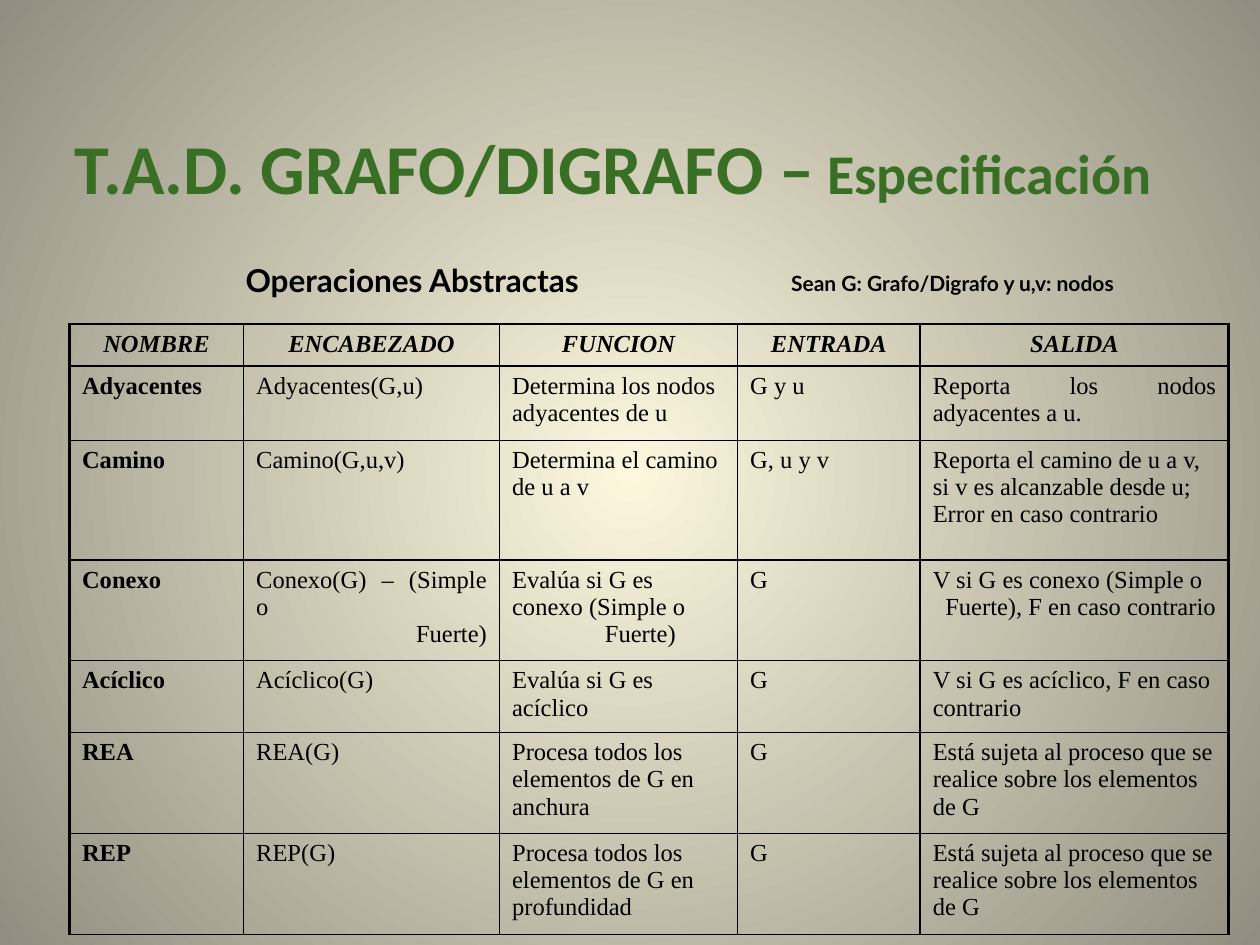
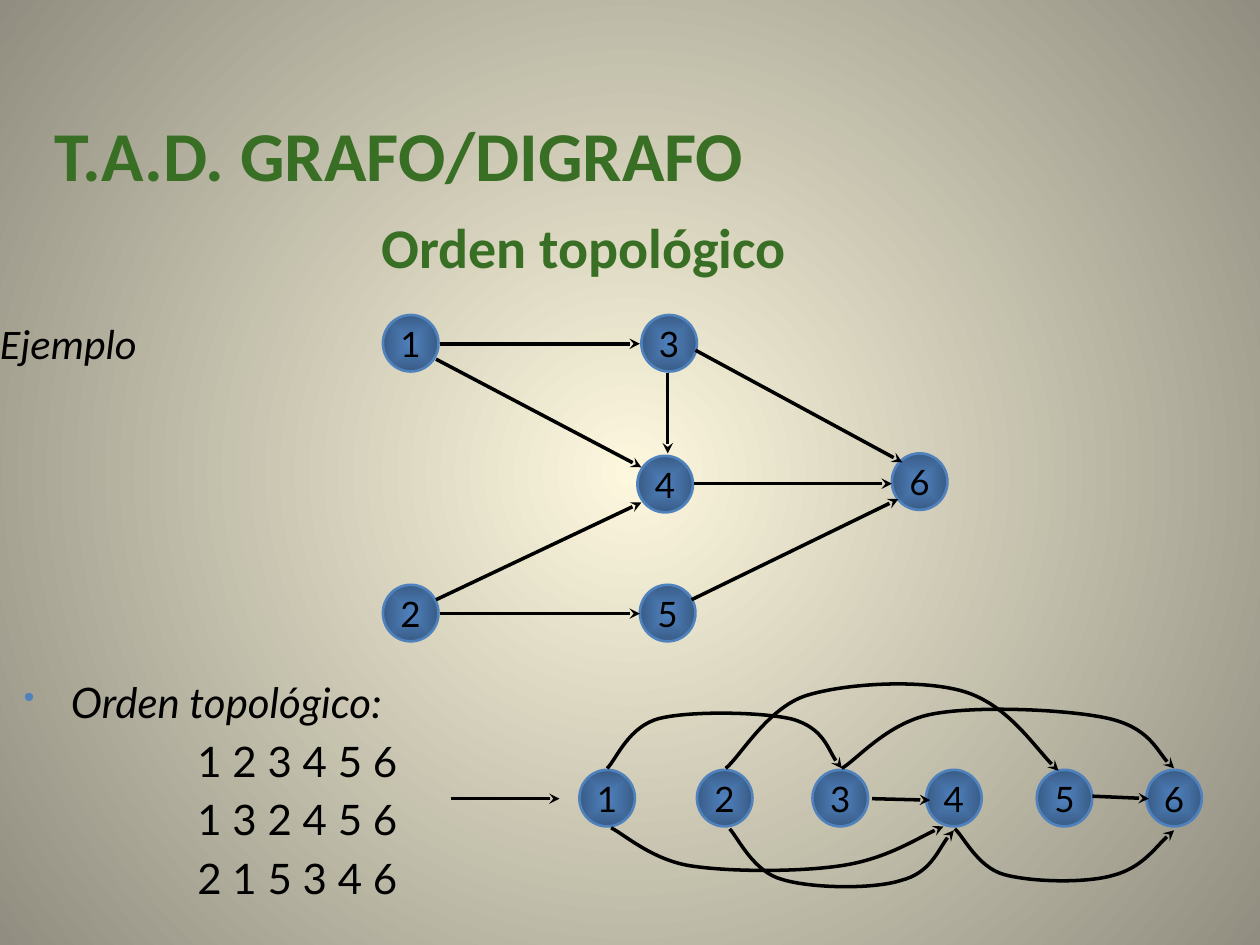
"""Build two slides on the graph abstract data type: its operations and its topological order."""
import pptx
import pptx.dml.color
import pptx.enum.dml
import pptx.enum.shapes
import pptx.enum.text
import pptx.oxml
import pptx.oxml.ns
import pptx.util
from lxml import etree

Cm = pptx.util.Cm
Pt = pptx.util.Pt
RGBColor = pptx.dml.color.RGBColor
qn = pptx.oxml.ns.qn
ALIGN = pptx.enum.text.PP_ALIGN

GREEN = RGBColor(0x38, 0x6F, 0x24)
BLACK = RGBColor(0, 0, 0)
BLUE = RGBColor(0x4F, 0x81, 0xBD)
DARK_BLUE = RGBColor(0x39, 0x5C, 0x87)
CREAM = RGBColor(0xFC, 0xF7, 0xDD)
STONE = RGBColor(0x91, 0x8E, 0x81)
HEADING = dict(font="Calibri", color=GREEN, bold=True)


def write(frame, text, size=14, font="Lato", color=BLACK, bold=False, italic=False,
          align=ALIGN.LEFT, indent=0, hanging=0, before=0, bullet=False, same_line=False):
    """Add text to a frame as a new paragraph, or as a run of the last one."""
    paragraph = frame.paragraphs[-1]
    if paragraph.runs and not same_line:
        paragraph = frame.add_paragraph()
    if not same_line:
        props = paragraph._p.get_or_add_pPr()
        props.set("marL", str(Cm(indent)))
        props.set("indent", str(-Cm(hanging)))
        if bullet:
            color_mark = etree.SubElement(props, qn("a:buClr"))
            etree.SubElement(color_mark, qn("a:srgbClr"), val=str(BLUE))
            etree.SubElement(props, qn("a:buSzPct"), val="75000")
            etree.SubElement(props, qn("a:buChar"), char="•")
        paragraph.alignment = align
        if before:
            paragraph.space_before = Pt(before)
    run = paragraph.add_run()
    run.text = text
    run.font.size = Pt(size)
    run.font.name = font
    run.font.bold = bold
    run.font.italic = italic
    run.font.color.rgb = color


def radiate(fill, owner, inner, outer, shape):
    """Fill with a gradient that spreads from the centre."""
    fill.gradient()
    for stop, color in zip(fill.gradient_stops, (inner, outer)):
        stop.color.rgb = color
    gradient = owner.find(".//" + qn("a:gradFill"))
    gradient.remove(gradient.find(qn("a:lin")))
    spread = etree.SubElement(gradient, qn("a:path"), path=shape)
    etree.SubElement(spread, qn("a:fillToRect"), l="50000", t="50000", r="50000", b="50000")


deck = pptx.Presentation()
deck.slide_width = Cm(25.4)
deck.slide_height = Cm(19.05)
radiate(deck.slide_master.background.fill, deck.slide_master._element, CREAM, STONE, "circle")
operations = deck.slides.add_slide(deck.slide_layouts[6])
topology = deck.slides.add_slide(deck.slide_layouts[6])

headings = [
    (operations, (0.89, 2.51, 22.94, 1.83), False,
     [("T.A.D. GRAFO/DIGRAFO –", dict(HEADING, size=40, align=ALIGN.CENTER)),
      (" Especificación", dict(HEADING, size=32, same_line=True))]),
    (operations, (4.7, 5.13, 8.41, 1.02), True,
     [("Operaciones Abstractas", dict(size=18, bold=True))]),
    (operations, (15.7, 5.33, 8.59, 0.76), True,
     [("Sean G: Grafo/Digrafo y u,v: nodos", dict(size=12, bold=True))]),
    (topology, (1.09, 2.24, 22.94, 1.7), False,
     [("T.A.D. GRAFO/DIGRAFO", dict(HEADING, size=40))]),
    (topology, (0.3, 4.29, 22.94, 1.85), False,
     [("Orden topológico", dict(HEADING, size=32, align=ALIGN.CENTER))]),
    (topology, (0, 6.4, 22.02, 1.68), False,
     [("Ejemplo", dict(size=24, font="Calibri", italic=True))]),
    (topology, (0.23, 13.51, 8.48, 4.47), True,
     [("Orden topológico:", dict(size=24, italic=True, indent=0.95, hanging=0.95, bullet=True))]
     + [(order, dict(size=24, indent=3.5, before=4.8))
        for order in ("1 2 3 4 5 6", "1 3 2 4 5 6", "2 1 5 3 4 6")]),
]
for slide, place, padded, texts in headings:
    frame = slide.shapes.add_textbox(*map(Cm, place)).text_frame
    frame.word_wrap = True
    if not padded:
        frame.margin_left = frame.margin_top = frame.margin_right = frame.margin_bottom = 0
    for text, style in texts:
        write(frame, text, **style)

SUBJECT = "Está sujeta al proceso que se realice sobre los elementos de G"
entries = [
    ["NOMBRE", "ENCABEZADO", "FUNCION", "ENTRADA", "SALIDA"],
    ["Adyacentes", "Adyacentes(G,u)", "Determina los nodos adyacentes de u", "G y u",
     "Reporta los nodos adyacentes a u."],
    ["Camino", "Camino(G,u,v)", "Determina el camino de u a v", "G, u y v",
     "Reporta el camino de u a v, si v es alcanzable desde u; Error en caso contrario"],
    ["Conexo", "Conexo(G) – (Simple o", "Evalúa si G es conexo (Simple o", "G",
     "V si G es conexo (Simple o"],
    ["Acíclico", "Acíclico(G)", "Evalúa si G es acíclico", "G",
     "V si G es acíclico, F en caso contrario"],
    ["REA", "REA(G)", "Procesa todos los elementos de G en anchura", "G", SUBJECT],
    ["REP", "REP(G)", "Procesa todos los elementos de G en profundidad", "G", SUBJECT],
]
second_lines = {
    (3, 1): ("Fuerte)", dict(align=ALIGN.RIGHT)),
    (3, 2): ("Fuerte)", dict(indent=1.87)),
    (3, 4): ("Fuerte), F en caso contrario", dict(align=ALIGN.RIGHT)),
}
widths = [3.51, 5.16, 4.8, 3.68, 6.22]
heights = [0.84, 1.5, 2.41, 2.03, 1.45, 2.03, 2.03]
last_row, last_col = len(heights) - 1, len(widths) - 1
grid = operations.shapes.add_table(len(heights), len(widths), Cm(1.4), Cm(6.53),
                                   Cm(sum(widths)), Cm(sum(heights))).table
grid.first_row = grid.horz_banding = False
for column, width in zip(grid.columns, widths):
    column.width = Cm(width)
for row, height in zip(grid.rows, heights):
    row.height = Cm(height)
for r, entry in enumerate(entries):
    for c, text in enumerate(entry):
        cell = grid.cell(r, c)
        cell.fill.background()
        if r == 0:
            align = ALIGN.CENTER
        elif c in (0, 1, 3) or (r, c) == (1, 4):
            align = ALIGN.JUSTIFY
        else:
            align = ALIGN.LEFT
        write(cell.text_frame, text, font="Times New Roman", bold=r == 0 or c == 0,
              italic=r == 0, align=align)
        if (r, c) in second_lines:
            ending, style = second_lines[r, c]
            write(cell.text_frame, ending, font="Times New Roman", **style)
        borders = {"a:lnL": 2 if c == 0 else 1, "a:lnR": 2 if c == last_col else 1,
                   "a:lnT": 1 if r <= 1 else 0.75,
                   "a:lnB": 1 if r in (0, last_row) else 0.75}
        for position, (side, weight) in enumerate(borders.items()):
            border = etree.Element(qn(side), w=str(Pt(weight)))
            ink = etree.SubElement(border, qn("a:solidFill"))
            etree.SubElement(ink, qn("a:srgbClr"), val=str(BLACK))
            cell._tc.get_or_add_tcPr().insert(position, border)

nodes = [("1", 7.72, 6.35), ("5", 12.9, 11.79), ("3", 12.93, 6.35),
         ("4", 12.85, 9.19), ("2", 7.72, 11.79), ("6", 17.98, 9.14)]
nodes += [(str(number), left, 15.52)
          for number, left in enumerate((11.68, 14.05, 16.38, 18.67, 20.9, 23.11), 1)]
for label, left, top in nodes:
    node = topology.shapes.add_shape(pptx.enum.shapes.MSO_SHAPE.OVAL,
                                     Cm(left), Cm(top), Cm(1.12), Cm(1.14))
    node.shadow.inherit = False
    radiate(node.fill, node._element, BLUE, DARK_BLUE, "shape")
    node.line.color.rgb = BLUE
    node.line.width = Pt(1.5)
    node.text_frame.word_wrap = False
    node.text_frame.vertical_anchor = pptx.enum.text.MSO_ANCHOR.MIDDLE
    write(node.text_frame, label, size=20, align=ALIGN.CENTER)

straight_edges = [
    (8.86, 6.93, 12.9, 6.93), (14.02, 7.06, 18.19, 9.32), (8.86, 12.37, 12.9, 12.37),
    (14, 9.75, 17.98, 9.75), (8.79, 7.24, 12.93, 9.42), (8.79, 12.09, 12.93, 10.13),
    (13.46, 7.52, 13.46, 9.14), (13.94, 12.09, 18.11, 10.06),
    (17.58, 16.1, 18.75, 16.13), (22.02, 16.05, 23.16, 16.1),
]
result_arrow = (9.09, 16.1, 11.28, 16.1)
arrows = []
for ends in straight_edges + [result_arrow]:
    edge = topology.shapes.add_connector(pptx.enum.shapes.MSO_CONNECTOR.STRAIGHT, *map(Cm, ends))
    arrows.append((edge, 1.5 if ends == result_arrow else 2))

curved_edges = [
    [(16.97, 15.49), (17.27, 15.32), (17.88, 14.58), (18.77, 14.4), (19.66, 14.22),
     (21.51, 14.3), (22.33, 14.48), (23.14, 14.66), (23.44, 15.34), (23.67, 15.49)],
    [(12.24, 15.49), (12.42, 15.32), (12.67, 14.63), (13.31, 14.48), (13.92, 14.33),
     (15.37, 14.35), (15.98, 14.5), (16.59, 14.68), (16.76, 15.29), (16.97, 15.49)],
    [(14.71, 16.71), (14.88, 16.89), (15.19, 17.58), (15.77, 17.73), (16.36, 17.91),
     (17.6, 17.93), (18.16, 17.75), (18.75, 17.6), (19, 16.94), (19.23, 16.74)],
    [(14.63, 15.49), (14.91, 15.27), (15.47, 14.27), (16.26, 14.02), (17.07, 13.77),
     (18.59, 13.69), (19.43, 13.94), (20.29, 14.2), (20.96, 15.21), (21.34, 15.54)],
    [(12.32, 16.69), (12.57, 16.81), (13.13, 17.32), (13.89, 17.45), (14.68, 17.58),
     (16.13, 17.58), (16.97, 17.45), (17.83, 17.32), (18.59, 16.84), (19.02, 16.66)],
    [(19.25, 16.71), (19.43, 16.87), (19.71, 17.48), (20.24, 17.63), (20.78, 17.78),
     (21.87, 17.81), (22.43, 17.65), (23.01, 17.5), (23.42, 16.92), (23.67, 16.74)],
]
for points in curved_edges:
    start, *controls = [(Cm(x), Cm(y)) for x, y in points]
    outline = topology.shapes.build_freeform(*start)
    outline.add_line_segments(controls, close=False)
    edge = outline.convert_to_shape()
    edge.fill.background()
    route = edge._element.find(".//" + qn("a:path"))
    steps = route.findall(qn("a:lnTo"))
    for first in range(0, len(steps), 3):
        bend = etree.SubElement(route, qn("a:cubicBezTo"))
        for step in steps[first:first + 3]:
            bend.append(step[0])
            route.remove(step)
    arrows.append((edge, 2))

for edge, weight in arrows:
    edge.line.color.rgb = BLACK
    edge.line.width = Pt(weight)
    etree.SubElement(edge.line._get_or_add_ln(), qn("a:tailEnd"), type="stealth")
    etree.SubElement(edge._element.spPr, qn("a:effectLst"))

deck.save("out.pptx")
